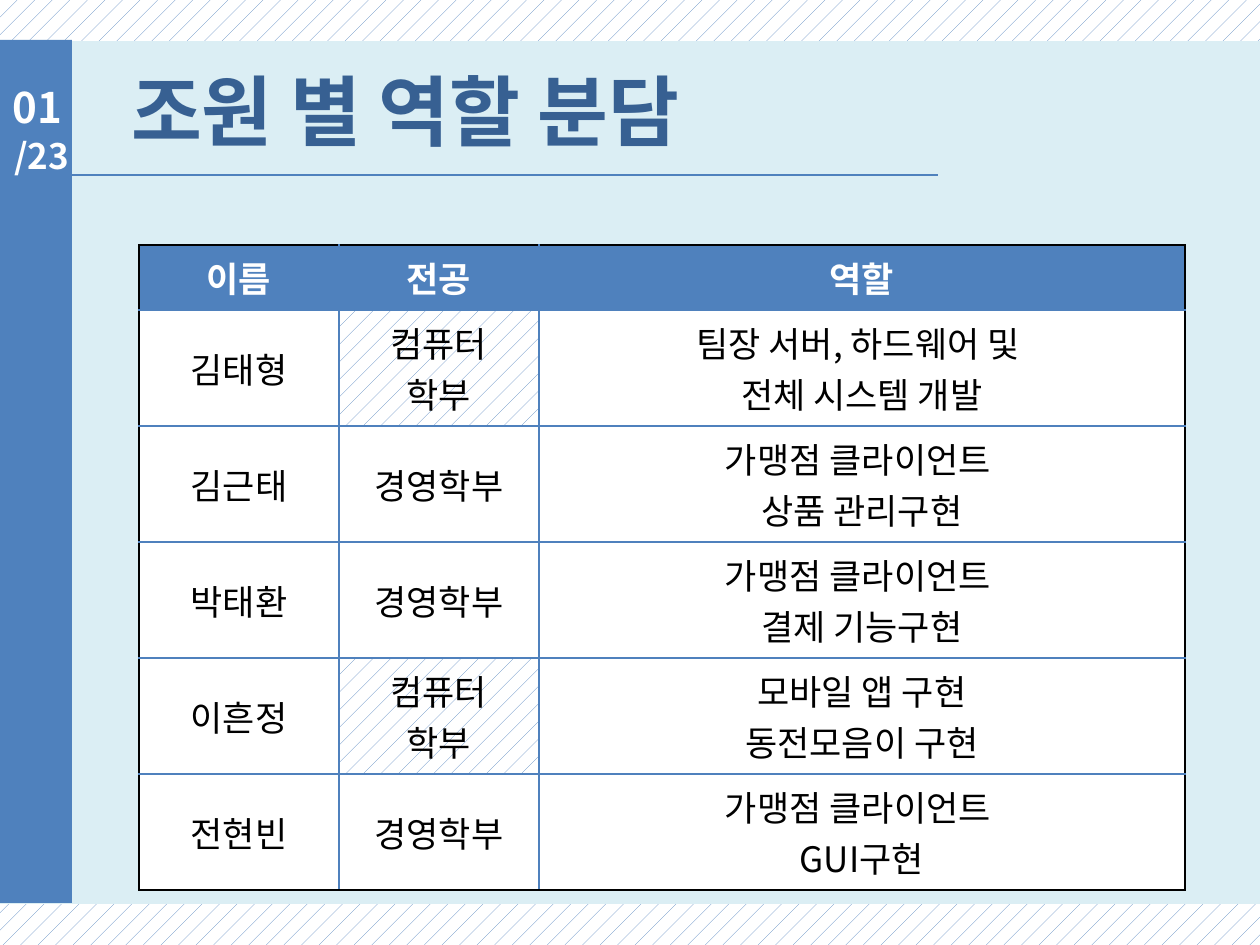
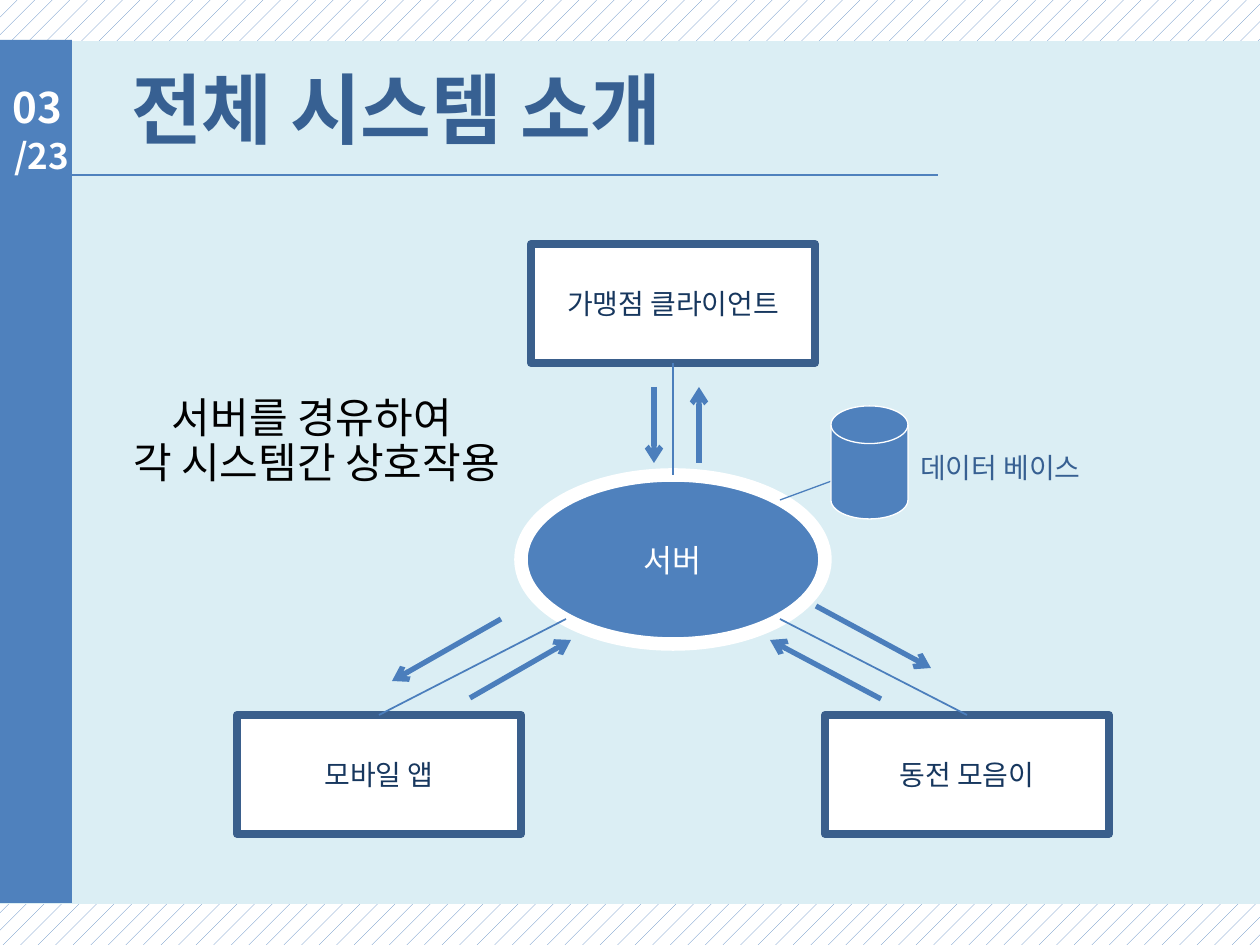
import lxml.etree
import pptx
import pptx.dml.color
import pptx.enum.dml
import pptx.enum.shapes
import pptx.enum.text
import pptx.oxml.ns
import pptx.util

RGBColor = pptx.dml.color.RGBColor
WHITE = RGBColor(0xFF, 0xFF, 0xFF)
BLACK = RGBColor(0x00, 0x00, 0x00)
BLUE = RGBColor(0x4F, 0x81, 0xBD)
PALE = RGBColor(0xDB, 0xEE, 0xF4)
DEEP = RGBColor(0x37, 0x60, 0x92)
NAVY = RGBColor(0x17, 0x37, 0x5E)
FRAME = RGBColor(0x3A, 0x5F, 0x8C)
WIRE = RGBColor(0x4B, 0x7E, 0xBC)

FACE = "Noto Sans CJK KR"
SCALE = 914400 / 126
SHAPE = pptx.enum.shapes.MSO_SHAPE
LEFT = pptx.enum.text.PP_ALIGN.LEFT
CENTER = pptx.enum.text.PP_ALIGN.CENTER
TOP = pptx.enum.text.MSO_ANCHOR.TOP
MIDDLE = pptx.enum.text.MSO_ANCHOR.MIDDLE
qn = pptx.oxml.ns.qn

HEADS = ["이름", "전공", "역할"]
ROLES = [
    ["김태형", "컴퓨터\n학부", "팀장 서버, 하드웨어 및 \n전체 시스템 개발"],
    ["김근태", "경영학부", "가맹점 클라이언트 \n상품 관리구현"],
    ["박태환", "경영학부", "가맹점 클라이언트 \n결제 기능구현"],
    ["이흔정", "컴퓨터\n학부", "모바일 앱 구현\n동전모음이 구현"],
    ["전현빈", "경영학부", "가맹점 클라이언트 \nGUI구현"],
]
CLIENTS = [
    (531, 244, "가맹점 클라이언트"),
    (237, 715, "모바일 앱"),
    (825, 715, "동전 모음이"),
]
LINKS = [(673, 363, 673, 475), (566, 619, 379, 715), (780, 619, 967, 715)]
ARROWS = [
    (501, 619, 392, 681), (470, 698, 571, 640),
    (654, 387, 654, 463), (699, 463, 699, 387),
    (881, 699, 770, 640), (816, 606, 931, 668),
]


def px(*lengths):
    """Turn px into a list of EMU lengths."""
    return [pptx.util.Emu(round(n * SCALE)) for n in lengths]


def write(frame, text, size, color, bold=False, align=LEFT, pitch=None):
    """Fill a text frame, one paragraph a line."""
    frame.text = text
    for para in frame.paragraphs:
        para.alignment = align
        if pitch:
            para.line_spacing = pitch
        font = para.font
        font.size = pptx.util.Pt(size)
        font.bold = bold
        font.name = FACE
        font.color.rgb = color
        props = para._p.pPr.find(qn("a:defRPr"))
        lxml.etree.SubElement(props, qn("a:ea"), typeface=FACE)


def hatch(fill):
    fill.patterned()
    fill.pattern = pptx.enum.dml.MSO_PATTERN.PERCENT_5
    fill.fore_color.rgb = BLUE
    fill.back_color.rgb = WHITE


def add_form(slide, kind, box, fill, line=None, width=1):
    form = slide.shapes.add_shape(kind, *px(*box))
    form.shadow.inherit = False
    form.fill.solid()
    form.fill.fore_color.rgb = fill
    if line is None:
        form.line.fill.background()
    else:
        form.line.color.rgb = line
        form.line.width = pptx.util.Pt(width)
    return form


def add_label(slide, box, text, size, color, anchor=MIDDLE, **style):
    frame = slide.shapes.add_textbox(*px(*box)).text_frame
    frame.word_wrap = True
    frame.vertical_anchor = anchor
    write(frame, text, size, color, **style)


def add_line(slide, ends, width=1, color=WIRE, arrow=False):
    line = slide.shapes.add_connector(
        pptx.enum.shapes.MSO_CONNECTOR.STRAIGHT, *px(*ends))
    line.line.color.rgb = color
    line.line.width = pptx.util.Pt(width)
    if arrow:
        lxml.etree.SubElement(
            line.line._get_or_add_ln(), qn("a:tailEnd"), type="arrow")
    lxml.etree.SubElement(line._element.spPr, qn("a:effectLst"))


def dress_layout(layout, slide):
    """Draw the shared frame on a slide, then move it to the layout."""
    hatch(layout.background.fill)
    for holder in list(layout.placeholders):
        if holder.placeholder_format.idx:
            holder._element.getparent().remove(holder._element)
    add_form(slide, SHAPE.RECTANGLE, (0, 41, 1260, 863), PALE)
    add_line(slide, (35, 175, 938, 175), color=BLUE)
    add_form(slide, SHAPE.RECTANGLE, (-2, 40, 74, 863), BLUE)
    add_label(slide, (2, 128, 84, 55), "/23", 20, WHITE, TOP, bold=True)
    for part in list(slide.shapes):
        if not part.is_placeholder:
            layout.shapes._spTree.append(part._element)


def add_head(slide, text, page, top):
    title = slide.shapes.title
    title.left, title.top, title.width, title.height = px(74, top, 804, 131)
    frame = title.text_frame
    frame.auto_size = pptx.enum.text.MSO_AUTO_SIZE.NONE
    frame.vertical_anchor = MIDDLE
    frame.margin_left = px(57)[0]
    write(frame, text, 44, DEEP, bold=True)
    add_label(slide, (0, 75, 84, 63), page, 24, WHITE, TOP, bold=True)


def edge_cell(cell, colors):
    """Draw the borders of a cell, keyed by side."""
    props = cell._tc.get_or_add_tcPr()
    for place, (side, color) in enumerate(colors.items()):
        line = lxml.etree.Element(qn("a:ln" + side), w="12700")
        fill = lxml.etree.SubElement(line, qn("a:solidFill"))
        lxml.etree.SubElement(fill, qn("a:srgbClr"), val=str(color))
        props.insert(place, line)


def add_roles(slide):
    rows = [HEADS] + ROLES
    table = slide.shapes.add_table(
        len(rows), len(HEADS), *px(139, 245, 1046, 645)).table
    table.first_row = table.horz_banding = False
    for col, width in zip(table.columns, px(200, 200, 646)):
        col.width = width
    for row, height in zip(table.rows, px(65, *[116] * len(ROLES))):
        row.height = height
    for r, texts in enumerate(rows):
        for c, text in enumerate(texts):
            cell = table.cell(r, c)
            cell.vertical_anchor = MIDDLE
            cell.margin_left, cell.margin_right = px(14, 14)
            cell.margin_top, cell.margin_bottom = px(7, 7)
            head = r == 0
            write(cell.text_frame, text, 20, WHITE if head else BLACK,
                  bold=head, align=CENTER)
            if text.startswith("컴퓨터"):
                hatch(cell.fill)
            else:
                cell.fill.solid()
                cell.fill.fore_color.rgb = BLUE if head else WHITE
            outer = {"L": c == 0, "R": c == len(HEADS) - 1,
                     "T": head, "B": r == len(rows) - 1}
            edge_cell(cell, {side: BLACK if out else BLUE
                             for side, out in outer.items()})


def add_system(slide):
    for left, top, name in CLIENTS:
        box = add_form(slide, SHAPE.RECTANGLE, (left, top, 284, 119),
                       WHITE, FRAME, 4.5)
        write(box.text_frame, name, 16, NAVY, align=CENTER)
    server = add_form(slide, SHAPE.OVAL, (521, 475, 304, 169),
                      BLUE, WHITE, 7.75)
    write(server.text_frame, "서버", 18, WHITE, align=CENTER)
    for ends in LINKS:
        add_line(slide, ends)
    for ends in ARROWS:
        add_line(slide, ends, 3, arrow=True)
    add_line(slide, (780, 500, 848, 475), 0.75)
    add_form(slide, SHAPE.FLOWCHART_MAGNETIC_DISK, (831, 406, 77, 113),
             BLUE, WHITE, 0.75)
    add_label(slide, (908, 435, 200, 65), "데이터 베이스", 16, DEEP)
    add_label(slide, (83, 383, 467, 118),
              "서버를 경유하여 \n각 시스템간 상호작용", 24, BLACK,
              align=CENTER, pitch=0.9)


def main():
    deck = pptx.Presentation()
    deck.slide_width, deck.slide_height = px(1260, 945)
    layout = deck.slide_layouts[5]
    roles = deck.slides.add_slide(layout)
    dress_layout(layout, roles)
    add_head(roles, "조원 별 역할 분담", "01", 44)
    add_roles(roles)
    system = deck.slides.add_slide(layout)
    add_head(system, "전체 시스템 소개", "03", 42)
    add_system(system)
    deck.save("out.pptx")


if __name__ == "__main__":
    main()
